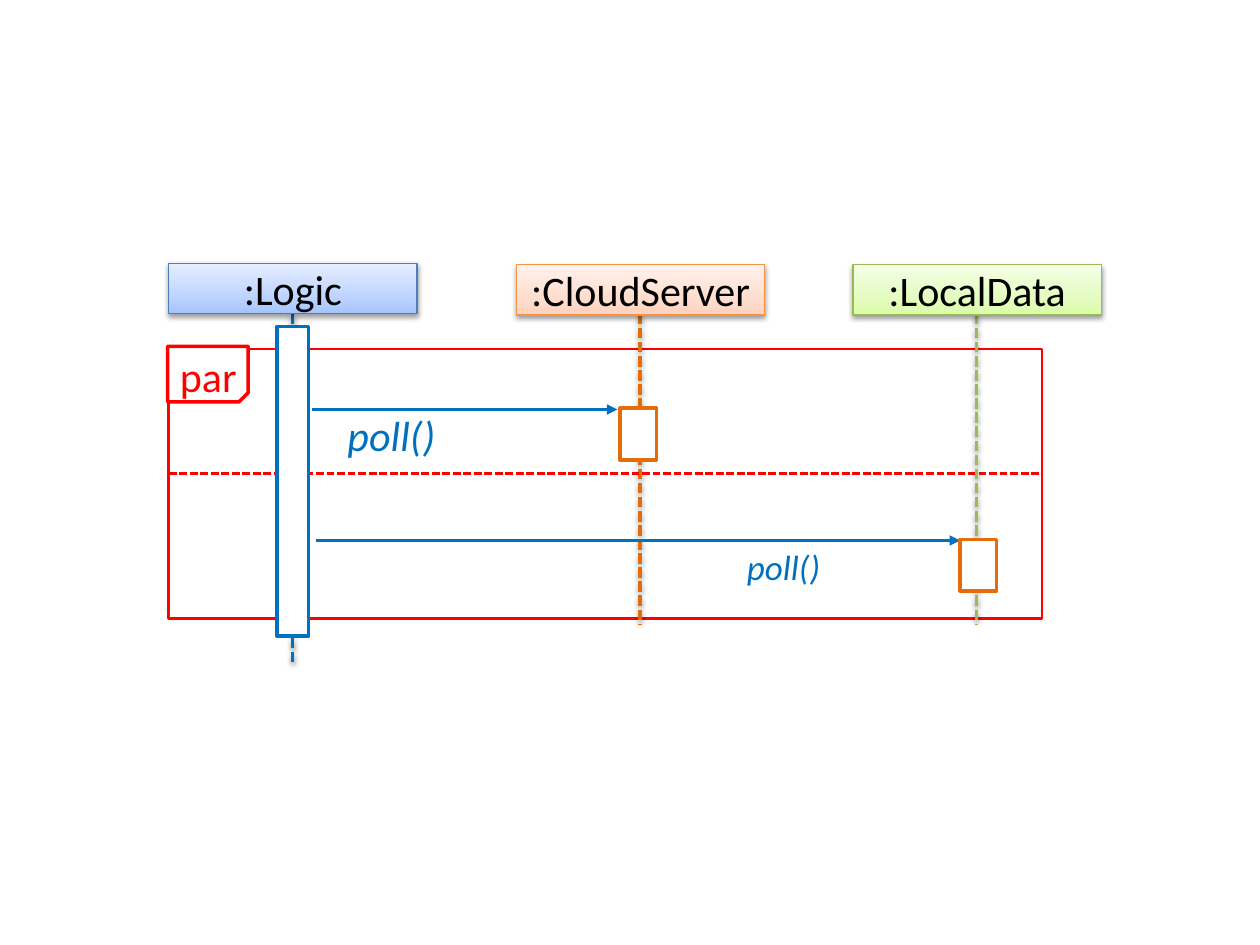
from lxml.etree import SubElement
from pptx import Presentation
from pptx.dml.color import RGBColor
from pptx.enum.dml import MSO_LINE
from pptx.enum.shapes import MSO_CONNECTOR, MSO_SHAPE
from pptx.enum.text import MSO_ANCHOR, PP_ALIGN
from pptx.oxml.ns import qn
from pptx.util import Pt

PX = 9144
FONT = "Calibri"
BLACK = RGBColor(0x00, 0x00, 0x00)
WHITE = RGBColor(0xFF, 0xFF, 0xFF)
RED = RGBColor(0xFF, 0x00, 0x00)
BLUE = RGBColor(0x00, 0x70, 0xC0)
ORANGE = RGBColor(0xE4, 0x6C, 0x0A)
GREEN = RGBColor(0x9B, 0xBB, 0x59)
BLUE_EDGE = RGBColor(0x4B, 0x7E, 0xBC)
ORANGE_EDGE = RGBColor(0xF6, 0x92, 0x40)
GREEN_EDGE = RGBColor(0x98, 0xB9, 0x55)
BLUE_GRADIENT = (RGBColor(0xA4, 0xC4, 0xFF), RGBColor(0xBF, 0xD4, 0xFF), RGBColor(0xE6, 0xEE, 0xFF))
ORANGE_GRADIENT = (RGBColor(0xFF, 0xD2, 0xBD), RGBColor(0xFF, 0xDE, 0xD0), RGBColor(0xFF, 0xF2, 0xED))
GREEN_GRADIENT = (RGBColor(0xDA, 0xFD, 0xA7), RGBColor(0xE4, 0xFC, 0xC2), RGBColor(0xF5, 0xFF, 0xE7))
GRADIENT_STOPS = (0, 35, 100)

HEAD_WIDTH, HEAD_HEIGHT = 197, 40
LIFELINE_TOP = 249
CALL_WIDTH, CALL_HEIGHT = 29, 41


def add_color(parent, color):
    return SubElement(parent, qn("a:srgbClr"), val=str(color))


def add_shadow(effects):
    shadow = SubElement(effects, qn("a:outerShdw"), blurRad=str(Pt(3.1)), dist=str(Pt(1.6)),
                        dir="5400000", rotWithShape="0")
    SubElement(add_color(shadow, BLACK), qn("a:alpha"), val="38000")


def set_gradient(shape, colors):
    shape.fill.gradient()
    shape.fill.gradient_angle = 90
    stops = shape.element.spPr.find(qn("a:gradFill")).find(qn("a:gsLst"))
    for stop in list(stops):
        stops.remove(stop)
    for position, color in zip(GRADIENT_STOPS, colors):
        add_color(SubElement(stops, qn("a:gs"), pos=str(position * 1000)), color)


def add_outlined(slide, left, top, width, height, color, points, kind=MSO_SHAPE.RECTANGLE):
    shape = slide.shapes.add_shape(kind, left * PX, top * PX, width * PX, height * PX)
    shape.shadow.inherit = False
    shape.fill.solid()
    shape.fill.fore_color.rgb = WHITE
    shape.line.color.rgb = color
    shape.line.width = Pt(points)
    return shape


def add_line(slide, start, end, color, points, dashed=False, arrow=False, shadow=False):
    connector = slide.shapes.add_connector(
        MSO_CONNECTOR.STRAIGHT, *(value * PX for value in (*start, *end)))
    connector.line.color.rgb = color
    connector.line.width = Pt(points)
    if dashed:
        connector.line.dash_style = MSO_LINE.SQUARE_DOT
    if arrow:
        SubElement(connector.line._get_or_add_ln(), qn("a:tailEnd"), type="triangle")
    effects = SubElement(connector.element.spPr, qn("a:effectLst"))
    if shadow:
        add_shadow(effects)


def add_text(paragraph, text, color, size=24, italic=False):
    run = paragraph.add_run()
    run.text = text
    run.font.name = FONT
    run.font.size = Pt(size)
    run.font.italic = italic
    run.font.color.rgb = color


def add_label(slide, left, top, width, height, text, color, size=24, italic=False):
    box = slide.shapes.add_textbox(left * PX, top * PX, width * PX, height * PX)
    frame = box.text_frame
    frame.word_wrap = True
    frame.vertical_anchor = MSO_ANCHOR.MIDDLE
    add_text(frame.paragraphs[0], text, color, size, italic)


def add_participant(slide, name, left, top, axis, bottom, color, edge, gradient):
    add_line(slide, (axis, LIFELINE_TOP), (axis, bottom), color, 2, dashed=True, shadow=True)
    head = add_outlined(slide, left, top, HEAD_WIDTH, HEAD_HEIGHT, edge, 0.75)
    set_gradient(head, gradient)
    add_shadow(head.element.spPr.find(qn("a:effectLst")))
    frame = head.text_frame
    frame.margin_left = frame.margin_right = frame.margin_top = frame.margin_bottom = 0
    frame.vertical_anchor = MSO_ANCHOR.TOP
    frame.paragraphs[0].alignment = PP_ALIGN.CENTER
    add_text(frame.paragraphs[0], name, BLACK)


def add_call(slide, left, top):
    add_outlined(slide, left, top, CALL_WIDTH, CALL_HEIGHT, ORANGE, 2)


def add_par_tag(slide):
    tag = add_outlined(slide, 133, 275, 64, 44, RED, 2, MSO_SHAPE.SNIP_1_RECTANGLE)
    tag.element.spPr.find(qn("a:xfrm")).set("flipV", "1")
    add_label(slide, 133, 277, 71, 42, "par", RED)


def main():
    presentation = Presentation()
    presentation.slide_width = 1000 * PX
    presentation.slide_height = 750 * PX
    slide = presentation.slides.add_slide(presentation.slide_layouts[6])

    add_outlined(slide, 134, 277, 693, 214, RED, 1.5)
    add_participant(slide, ":CloudServer", 410, 210, 508, 495, ORANGE, ORANGE_EDGE, ORANGE_GRADIENT)
    add_par_tag(slide)
    add_line(slide, (248, 325), (490, 325), BLUE, 1.5, arrow=True)
    add_call(slide, 492, 324)
    add_line(slide, (251, 429), (762, 429), BLUE, 1.5, arrow=True)
    add_line(slide, (134, 376), (826, 376), RED, 1.5, dashed=True)
    add_label(slide, 266, 320, 200, 50, "poll()", BLUE, italic=True)
    add_label(slide, 583, 428, 86, 44, "poll()", BLUE, size=20, italic=True)
    add_participant(slide, ":Logic", 134, 209, 232, 525, BLUE, BLUE_EDGE, BLUE_GRADIENT)
    add_outlined(slide, 220, 259, 25, 246, BLUE, 2)
    add_participant(slide, ":LocalData", 677, 210, 775, 495, GREEN, GREEN_EDGE, GREEN_GRADIENT)
    add_call(slide, 762, 428)

    presentation.save("out.pptx")


if __name__ == "__main__":
    main()
